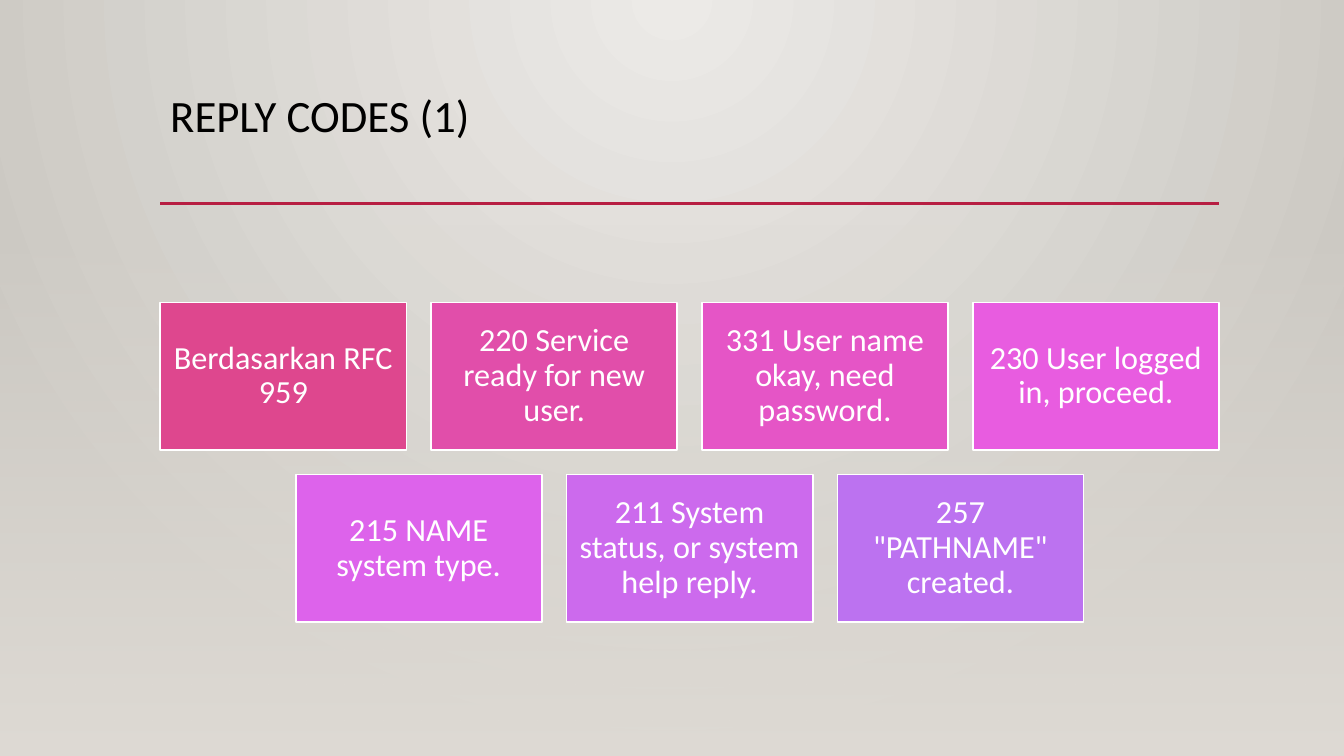
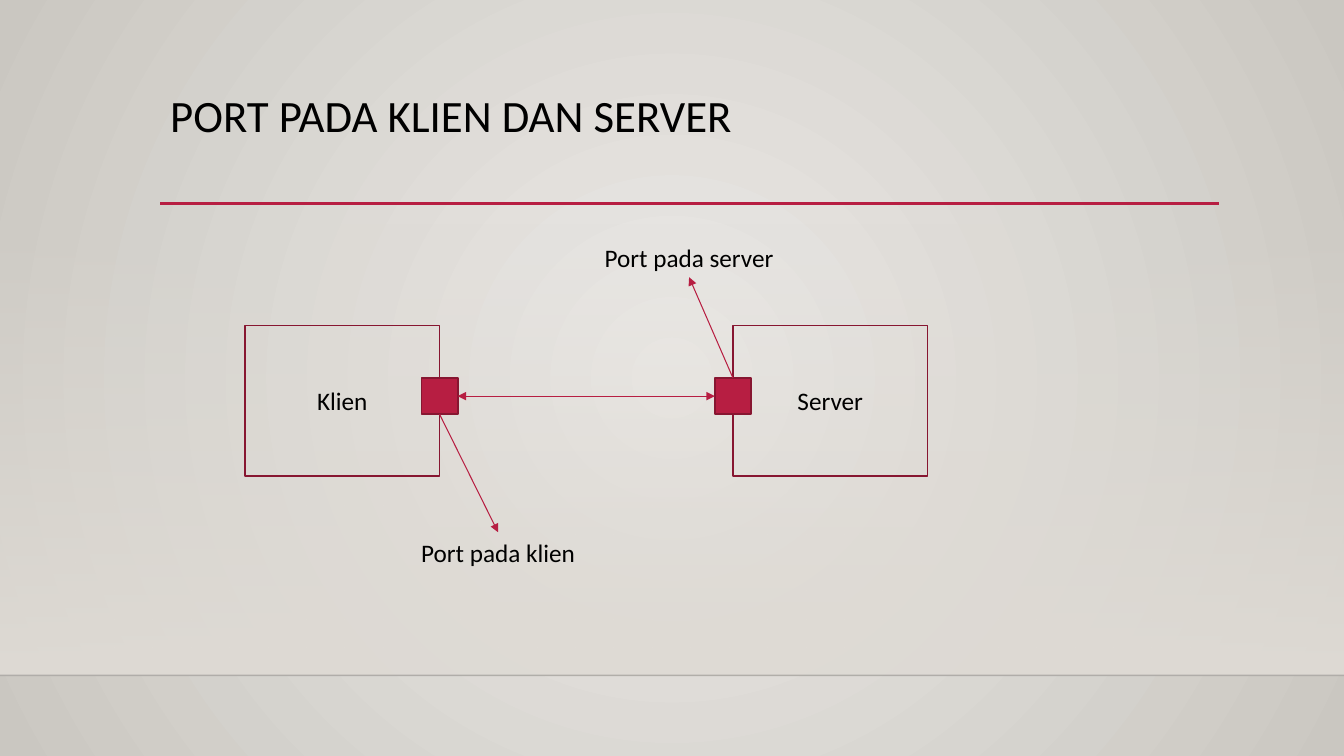
from lxml import etree
from pptx import Presentation
from pptx.dml.color import RGBColor
from pptx.enum.shapes import MSO_CONNECTOR, MSO_SHAPE
from pptx.enum.text import MSO_ANCHOR, PP_ALIGN
from pptx.oxml.ns import qn
from pptx.util import Inches, Pt

RECT, STRAIGHT = MSO_SHAPE.RECTANGLE, MSO_CONNECTOR.STRAIGHT
TOP, MIDDLE = MSO_ANCHOR.TOP, MSO_ANCHOR.MIDDLE
LEFT, CENTER = PP_ALIGN.LEFT, PP_ALIGN.CENTER
SIDE_TOP, SIDE_LEFT, SIDE_BOTTOM, SIDE_RIGHT = range(4)

FONT = "Calibri"
COLORS = {
    "text": "000000", "white": "FFFFFF", "accent": "B71E42", "outline": "871631",
    "glow": "ECEAE7", "edge": "CAC7C1", "floor": "DFDBD5", "floor_line": "000001",
}
WIDTH, HEIGHT = 13.33, 7.5
MARGIN, CONTENT_W = 1.59, 10.5
TITLE_Y, RULE_Y, BAND_Y, FLOOR_Y = 0.88, 2.02, 2.21, 6.7
GLOW_TOP = {"l": "43000", "t": "0", "r": "43000", "b": "100000"}
GLOW_CENTER = {"l": "50000", "t": "50000", "r": "50000", "b": "50000"}

REPLIES = [
    [("Berdasarkan RFC 959", "DE478E"),
     ("220 Service ready for new user.", "E14EAA"),
     ("331 User name okay, need password.", "E555C6"),
     ("230 User logged in, proceed.", "E85CE0")],
    [("215 NAME system type.", "DD63EB"),
     ("211 System status, or system help reply.", "CC6AED"),
     ('257 "PATHNAME" created.', "BC72F0")],
]


def rgb(value):
    """Return the colour for a palette name or a hex string."""
    return RGBColor.from_string(COLORS.get(value, value))


def set_alpha(clr, percent):
    """Give a colour element an opacity."""
    etree.SubElement(clr, qn("a:alpha")).set("val", str(percent * 1000))


def set_gradient(fill, element, stops, focus=None):
    """Fill with (colour, opacity) stops, downwards or round a focus."""
    fill.gradient()
    grad = next(element.iter(qn("a:gradFill")))
    for child in list(grad):
        grad.remove(child)
    gs_lst = etree.SubElement(grad, qn("a:gsLst"))
    for i, (color, opacity) in enumerate(stops):
        gs = etree.SubElement(gs_lst, qn("a:gs"), pos=str(i * 100000))
        clr = etree.SubElement(gs, qn("a:srgbClr"), val=COLORS[color])
        if opacity < 100:
            set_alpha(clr, opacity)
    if focus:
        shade = etree.SubElement(grad, qn("a:path"))
        shade.set("path", "circle")
        etree.SubElement(shade, qn("a:fillToRect"), focus)
    else:
        etree.SubElement(grad, qn("a:lin"), ang="5400000", scaled="0")


def add_text(sp, text, size, color="text", align=CENTER, anchor=MIDDLE, spacing=1.0, wrap=True):
    """Write one formatted paragraph into a shape."""
    tf = sp.text_frame
    tf.word_wrap = wrap
    tf.vertical_anchor = anchor
    p = tf.paragraphs[0]
    p.text = text
    p.alignment = align
    p.line_spacing = spacing
    font = p.runs[0].font
    font.name, font.size = FONT, Pt(size)
    font.color.rgb = rgb(color)


def add_rect(slide, box, fill=None, line=None):
    """Add a flat rectangle with optional fill and outline."""
    sp = slide.shapes.add_shape(RECT, *map(Inches, box))
    sp.shadow.inherit = False
    if fill:
        sp.fill.solid()
        sp.fill.fore_color.rgb = rgb(fill)
    else:
        sp.fill.background()
    if line:
        sp.line.color.rgb = rgb(line)
        sp.line.width = Pt(1.25)
    else:
        sp.line.fill.background()
    return sp


def add_textbox(slide, box, text, size, **style):
    """Add a text box with one paragraph."""
    sp = slide.shapes.add_textbox(*map(Inches, box))
    add_text(sp, text, size, **style)
    return sp


def add_line(slide, ends=(0, 0, 0, 0), color="accent", width=0.75, arrows=()):
    """Add a straight line with arrowheads at the named ends."""
    cn = slide.shapes.add_connector(STRAIGHT, *map(Inches, ends))
    cn.line.color.rgb = rgb(color)
    cn.line.width = Pt(width)
    ln = cn.line._get_or_add_ln()
    for end in arrows:
        etree.SubElement(ln, qn(f"a:{end}"), type="triangle")
    etree.SubElement(cn.element.spPr, qn("a:effectLst"))
    return cn


def link(slide, start, start_side, end, end_side, arrows=("tailEnd",)):
    """Join the sides of two shapes with an arrow."""
    cn = add_line(slide, arrows=arrows)
    cn.begin_connect(start, start_side)
    cn.end_connect(end, end_side)


def add_base(prs, title, focus, band_bottom):
    """Add a slide with backdrop, band, title and rule."""
    slide = prs.slides.add_slide(prs.slide_layouts[6])
    set_gradient(slide.background.fill, slide.element, [("glow", 100), ("edge", 100)], focus)
    band = add_rect(slide, (0, BAND_Y, WIDTH, band_bottom - BAND_Y))
    set_gradient(band.fill, band.element, [("floor", 0), ("floor", 100)])
    if band_bottom < HEIGHT:
        floor = add_line(slide, (0, band_bottom, WIDTH, band_bottom), "floor_line", 1)
        set_alpha(next(floor.element.iter(qn("a:srgbClr"))), 20)
    add_line(slide, (MARGIN, RULE_Y, MARGIN + CONTENT_W, RULE_Y), width=2.5)
    add_textbox(slide, (MARGIN, TITLE_Y, CONTENT_W, 1.15), title, 32,
                align=LEFT, anchor=TOP, spacing=0.9)
    return slide


def add_cards(slide, box, rows):
    """Lay out rows of coloured cards, each row centred in the box."""
    x, y, w, h = box
    gap = 0.245
    cols = max(map(len, rows))
    card_w = (w - gap * (cols - 1)) / cols
    card_h = (h - gap * (len(rows) - 1)) / len(rows)
    for i, row in enumerate(rows):
        row_w = len(row) * (card_w + gap) - gap
        for j, (text, color) in enumerate(row):
            left = x + (w - row_w) / 2 + j * (card_w + gap)
            sp = add_rect(slide, (left, y + i * (card_h + gap), card_w, card_h), color, "white")
            tf = sp.text_frame
            tf.margin_left = tf.margin_right = tf.margin_top = tf.margin_bottom = Inches(0.1)
            add_text(sp, text, 23, "white", spacing=0.9)


def add_port_diagram(slide, box):
    """Draw client and server with linked, labelled ports."""
    x, y, w, h = box
    node_w, node_h, port = 1.93, 1.49, 0.36
    node_y, port_y = y + 0.88, y + 1.4
    server_x = x + w - node_w
    for left, name in ((x, "Klien"), (server_x, "Server")):
        add_text(add_rect(slide, (left, node_y, node_w, node_h), line="outline"), name, 18)
    client_port, server_port = [
        add_rect(slide, (edge - port / 2, port_y, port, port), "accent", "outline")
        for edge in (x + node_w, server_x)]
    client_label = add_textbox(slide, (x + 1.64, y + h - 0.4, 1.74, 0.4),
                               "Port pada klien", 18, wrap=False)
    server_label = add_textbox(slide, (x + 3.45, y, 1.91, 0.4),
                               "Port pada server", 18, wrap=False)
    link(slide, client_port, SIDE_RIGHT, server_port, SIDE_LEFT, ("headEnd", "tailEnd"))
    link(slide, client_port, SIDE_BOTTOM, client_label, SIDE_TOP)
    link(slide, server_port, SIDE_TOP, server_label, SIDE_BOTTOM)


def main():
    """Build and save the presentation."""
    prs = Presentation()
    prs.slide_width, prs.slide_height = Inches(WIDTH), Inches(HEIGHT)
    replies = add_base(prs, "REPLY CODES (1)", GLOW_TOP, HEIGHT)
    add_cards(replies, (MARGIN, 3, CONTENT_W, 3.17), REPLIES)
    ports = add_base(prs, "PORT PADA KLIEN DAN SERVER", GLOW_CENTER, FLOOR_Y)
    add_port_diagram(ports, (2.43, 2.35, 6.77, 3.33))
    prs.save("out.pptx")


if __name__ == "__main__":
    main()
